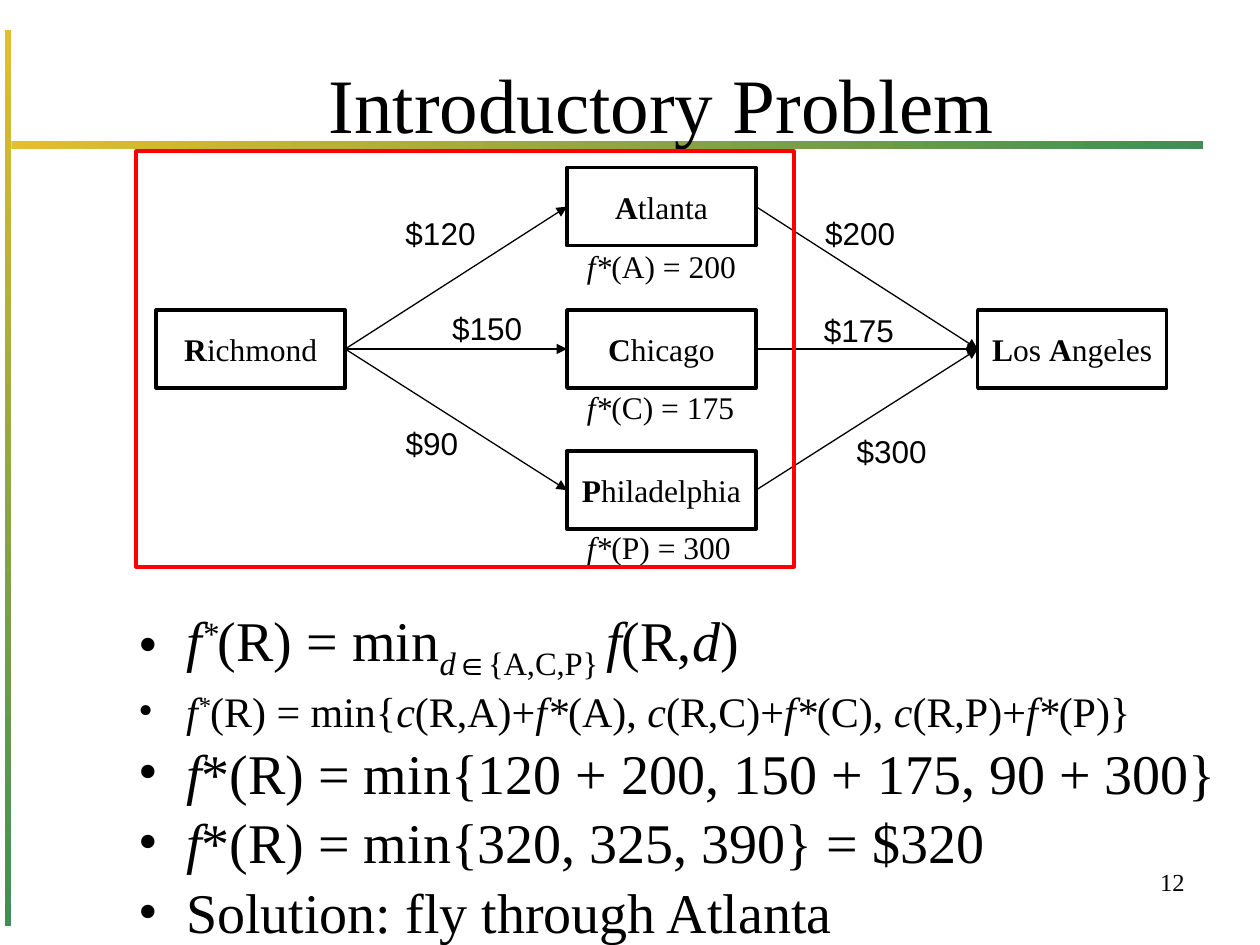
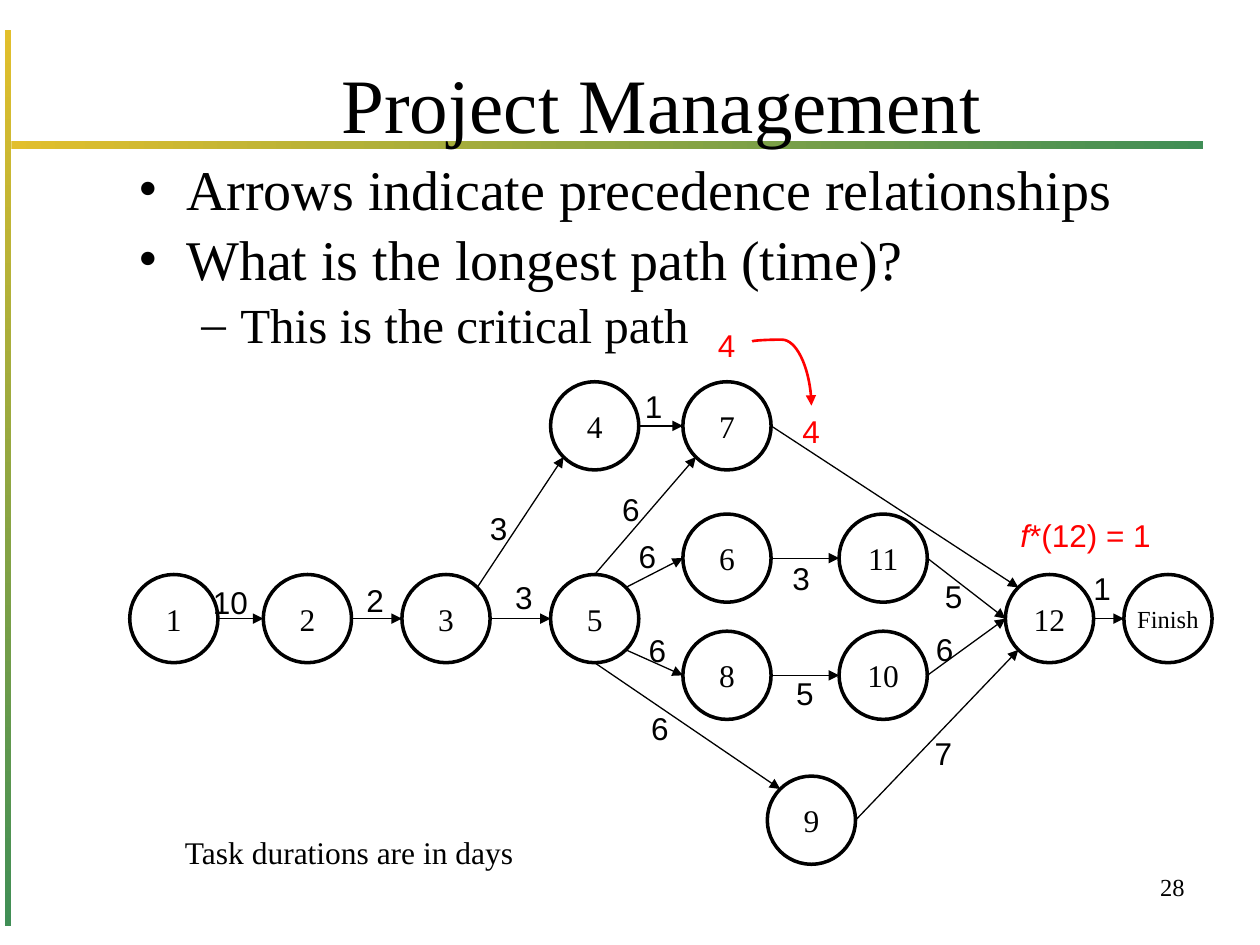
from math import cos, radians, sin

from lxml import etree
from pptx import Presentation
from pptx.dml.color import RGBColor
from pptx.enum import shapes, text
from pptx.oxml.ns import qn
from pptx.util import Inches, Pt

# ---- Shared look ----
COLORS = {"ink": "000000", "red": "FF0000", "gold": "E2BF2C", "green": "408E56"}
SERIF, SANS = "Times New Roman", "Arial"
BANDS = [((0.04, 0.24, 0.05, 7.11), 270), ((0.09, 1.12, 9.46, 0.06), 0)]
TITLE_AT = (1, 0.3, 8.5, 1.03)
BULLETS = [("•", 0.38, 0.38), ("–", 0.81, 0.31)]  # sign, left margin, hanging
BASELINES = {"^": "30000", "v": "-25000"}

# ---- Content: a run is plain text or (text, style); i italic, b bold, ^ super, v sub ----
F, FS, C = ("f", "i"), ("f*", "i"), ("c", "i")
FLIGHT_POINTS = [  # level, size, runs
    (0, 32, [F, ("*", "i^"), "(R) = min", ("d", "iv"), ("∈{A,C,P} ", "v"), F,
             "(R,", ("d", "i"), ")"]),
    (0, 24, [F, ("*", "i^"), "(R) = min{", C, "(R,A)+", FS, "(A), ", C, "(R,C)+", FS,
             "(C), ", C, "(R,P)+", FS, "(P)}"]),
    (0, 32, [F, "*(R) = min{120 + 200, 150 + 175, 90 + 300}"]),
    (0, 32, [F, "*(R) = min{320, 325, 390} = $320"]),
    (0, 32, ["Solution: fly through Atlanta"]),
]
CITY_W, CITY_H = 1.5, 0.62
CITIES = {  # left, top, runs
    "R": (1.24, 2.46, [("R", "b"), "ichmond"]),
    "A": (4.5, 1.33, [("A", "b"), "tlanta"]),
    "C": (4.5, 2.46, [("C", "b"), "hicago"]),
    "P": (4.5, 3.58, [("P", "b"), "hiladelphia"]),
    "LA": (7.76, 2.46, [("L", "b"), "os ", ("A", "b"), "ngeles"]),
}
FLIGHTS = [  # from, to, fare, label left, label top
    ("R", "A", "$120", 3.12, 1.65), ("R", "C", "$150", 3.49, 2.4),
    ("R", "P", "$90", 3.12, 3.32), ("A", "LA", "$200", 6.45, 1.65),
    ("C", "LA", "$175", 6.44, 2.42), ("P", "LA", "$300", 6.7, 3.38),
]
BEST_COSTS = [("A", 200, 1.91), ("C", 175, 3.03), ("P", 300, 4.14)]
STAGE_FRAME = (1.08, 1.2, 5.22, 3.3)

PROJECT_POINTS = [
    (0, 32, ["Arrows indicate precedence relationships"]),
    (0, 32, ["What is the longest path (time)?"]),
    (1, 28, ["This is the critical path"]),
]
TASK_D = 0.7
TASKS = {  # left, top
    "1": (1.03, 4.56), "2": (2.09, 4.56), "3": (3.19, 4.56), "4": (4.37, 3.03),
    "5": (4.37, 4.56), "6": (5.42, 4.08), "7": (5.42, 3.03), "8": (5.42, 5.01),
    "9": (6.09, 6.16), "10": (6.66, 5.01), "11": (6.66, 4.08), "12": (7.98, 4.56),
    "Finish": (8.92, 4.56),
}
SIDES = {"E": 0, "SE": 45, "S": 90, "W": 180, "SW": 135, "NW": 225, "N": 270, "NE": 315}
LINKS = [  # from, side, to, side, days, label left, label top, label colour
    ("1", "E", "2", "W", "10", 1.59, 4.58, "ink"),
    ("2", "E", "3", "W", "2", 2.81, 4.56, "ink"),
    ("3", "NE", "4", "SW", "3", 3.79, 3.99, "ink"),
    ("3", "E", "5", "W", "3", 3.99, 4.54, "ink"),
    ("4", "E", "7", "W", "1", 5.02, 3.02, "ink"),
    ("5", "N", "7", "SW", "6", 4.84, 3.84, "ink"),
    ("5", "NE", "6", "W", "6", 4.97, 4.21, "ink"),
    ("5", "SE", "8", "W", "6", 5.05, 4.96, "ink"),
    ("5", "S", "9", "NW", "6", 5.07, 5.58, "ink"),
    ("6", "E", "11", "W", "3", 6.19, 4.39, "ink"),
    ("8", "E", "10", "W", "5", 6.22, 5.3, "ink"),
    ("7", "E", "12", "NW", "4", 6.27, 3.22, "red"),
    ("11", "E", "12", "W", "5", 7.4, 4.53, "ink"),
    ("10", "E", "12", "W", "6", 7.33, 4.95, "ink"),
    ("9", "E", "12", "SW", "7", 7.32, 5.78, "ink"),
    ("12", "E", "Finish", "W", "1", 8.58, 4.47, "ink"),
]


# ---- Helpers ----
def rgb(name):
    return RGBColor.from_string(COLORS[name])


def add_runs(p, runs, size, font=SERIF, color="ink"):
    for run in runs:
        words, style = (run, "") if isinstance(run, str) else run
        r = p.add_run()
        r.text = words
        r.font.name, r.font.size = font, Pt(size)
        r.font.color.rgb = rgb(color)
        r.font.bold, r.font.italic = "b" in style, "i" in style
        for mark, shift in BASELINES.items():
            if mark in style:
                r.font._element.set("baseline", shift)


def add_text(s, at, runs, size, align=text.PP_ALIGN.LEFT, anchor=text.MSO_ANCHOR.TOP):
    tf = s.shapes.add_textbox(*map(Inches, at)).text_frame
    tf.word_wrap, tf.vertical_anchor = True, anchor
    tf.paragraphs[0].alignment = align
    add_runs(tf.paragraphs[0], runs, size)


def add_label(s, left, top, runs, font=SANS, color="ink", width=0.34):
    tf = s.shapes.add_textbox(*map(Inches, (left, top, width, 0.4))).text_frame
    tf.word_wrap = False
    tf.auto_size = text.MSO_AUTO_SIZE.SHAPE_TO_FIT_TEXT
    add_runs(tf.paragraphs[0], runs, 18, font, color)


def add_points(s, at, points):
    tf = s.shapes.add_textbox(*map(Inches, at)).text_frame
    tf.word_wrap = True
    for n, (level, size, runs) in enumerate(points):
        p = tf.add_paragraph() if n else tf.paragraphs[0]
        p.level, p.space_before = level, Pt(1.5)
        sign, left, hang = BULLETS[level]
        pPr = p._p.get_or_add_pPr()
        pPr.set("marL", str(Inches(left)))
        pPr.set("indent", str(-Inches(hang)))
        etree.SubElement(pPr, qn("a:buFont")).set("typeface", SERIF)
        etree.SubElement(pPr, qn("a:buChar")).set("char", sign)
        add_runs(p, runs, size)


def add_outline(s, kind, at, runs=(), size=18, color="ink"):
    sp = s.shapes.add_shape(kind, *map(Inches, at))
    sp.shadow.inherit = False
    sp.fill.background()
    sp.line.color.rgb, sp.line.width = rgb(color), Pt(2)
    tf = sp.text_frame
    tf.word_wrap, tf.vertical_anchor = False, text.MSO_ANCHOR.MIDDLE
    tf.margin_left = tf.margin_right = tf.margin_top = tf.margin_bottom = 0
    tf.paragraphs[0].alignment = text.PP_ALIGN.CENTER
    add_runs(tf.paragraphs[0], runs, size)


def add_arrow(s, start, end, kind=shapes.MSO_CONNECTOR.STRAIGHT, color="ink", width=0.75):
    c = s.shapes.add_connector(kind, *map(Inches, (*start, *end)))
    c.line.color.rgb, c.line.width = rgb(color), Pt(width)
    etree.SubElement(c.line._get_or_add_ln(), qn("a:tailEnd")).set("type", "triangle")
    etree.SubElement(c._element.spPr, qn("a:effectLst"))
    return c


def new_slide(prs, title, number, number_top):
    s = prs.slides.add_slide(prs.slide_layouts[6])
    for at, angle in BANDS:
        sp = s.shapes.add_shape(shapes.MSO_SHAPE.RECTANGLE, *map(Inches, at))
        sp.shadow.inherit = False
        sp.line.fill.background()
        sp.fill.gradient()
        sp.fill.gradient_angle = angle
        for stop, name in zip(sp.fill.gradient_stops, ("gold", "green")):
            stop.color.rgb = rgb(name)
    add_text(s, TITLE_AT, [title], 44, text.PP_ALIGN.CENTER, text.MSO_ANCHOR.MIDDLE)
    add_text(s, (6.99, number_top, 2.51, 0.52), [number], 14, text.PP_ALIGN.RIGHT)
    return s


def task_point(task, side):
    """Point on the rim of a task circle."""
    radius, angle = TASK_D / 2, radians(SIDES[side])
    left, top = TASKS[task]
    return left + radius * (1 + cos(angle)), top + radius * (1 + sin(angle))


# ---- Slides ----
def build_flights(prs):
    s = new_slide(prs, "Introductory Problem", "12", 6.83)
    add_points(s, (1, 4.76, 9.2, 2.8), FLIGHT_POINTS)
    for left, top, runs in CITIES.values():
        add_outline(s, shapes.MSO_SHAPE.RECTANGLE, (left, top, CITY_W, CITY_H), runs)
    for a, b, fare, left, top in FLIGHTS:
        (ax, ay, _), (bx, by, _) = CITIES[a], CITIES[b]
        add_arrow(s, (ax + CITY_W, ay + CITY_H / 2), (bx, by + CITY_H / 2))
        add_label(s, left, top, [fare], width=0.2 + 0.14 * len(fare))
    for city, cost, top in BEST_COSTS:
        add_label(s, 4.56, top, [FS, f"({city}) = {cost}"], SERIF, width=1.38)
    add_outline(s, shapes.MSO_SHAPE.RECTANGLE, STAGE_FRAME, color="red")


def build_project(prs):
    s = new_slide(prs, "Project Management", "28", 6.87)
    add_points(s, (1, 1.18, 8.5, 2.32), PROJECT_POINTS)
    for task, (left, top) in TASKS.items():
        size = 18 if task.isdigit() else 14
        add_outline(s, shapes.MSO_SHAPE.OVAL, (left, top, TASK_D, TASK_D), [task], size)
    for a, a_side, b, b_side, days, left, top, color in LINKS:
        add_arrow(s, task_point(a, a_side), task_point(b, b_side))
        add_label(s, left, top, [days], color=color, width=0.2 + 0.14 * len(days))
    add_label(s, 1.37, 6.56, ["Task durations are in days"], SERIF, width=2.83)
    # Cost carried back to task 7
    add_label(s, 8, 4.05, [F, "*(12) = 1"], color="red", width=1.25)
    add_label(s, 5.6, 2.54, ["4"], color="red")
    c = add_arrow(s, (6.46, 2.73), (5.95, 3.2), shapes.MSO_CONNECTOR.CURVE, "red", 1.5)
    spPr = c._element.spPr
    spPr.find(qn("a:xfrm")).set("rot", str(270 * 60000))
    geom = spPr.find(qn("a:prstGeom"))
    guides = geom.find(qn("a:avLst"))
    if guides is None:
        guides = etree.SubElement(geom, qn("a:avLst"))
    etree.SubElement(guides, qn("a:gd"), name="adj1", fmla="val -2900")


def main():
    prs = Presentation()
    prs.slide_width, prs.slide_height = Inches(10), Inches(7.5)
    build_flights(prs)
    build_project(prs)
    prs.save("out.pptx")


if __name__ == "__main__":
    main()
